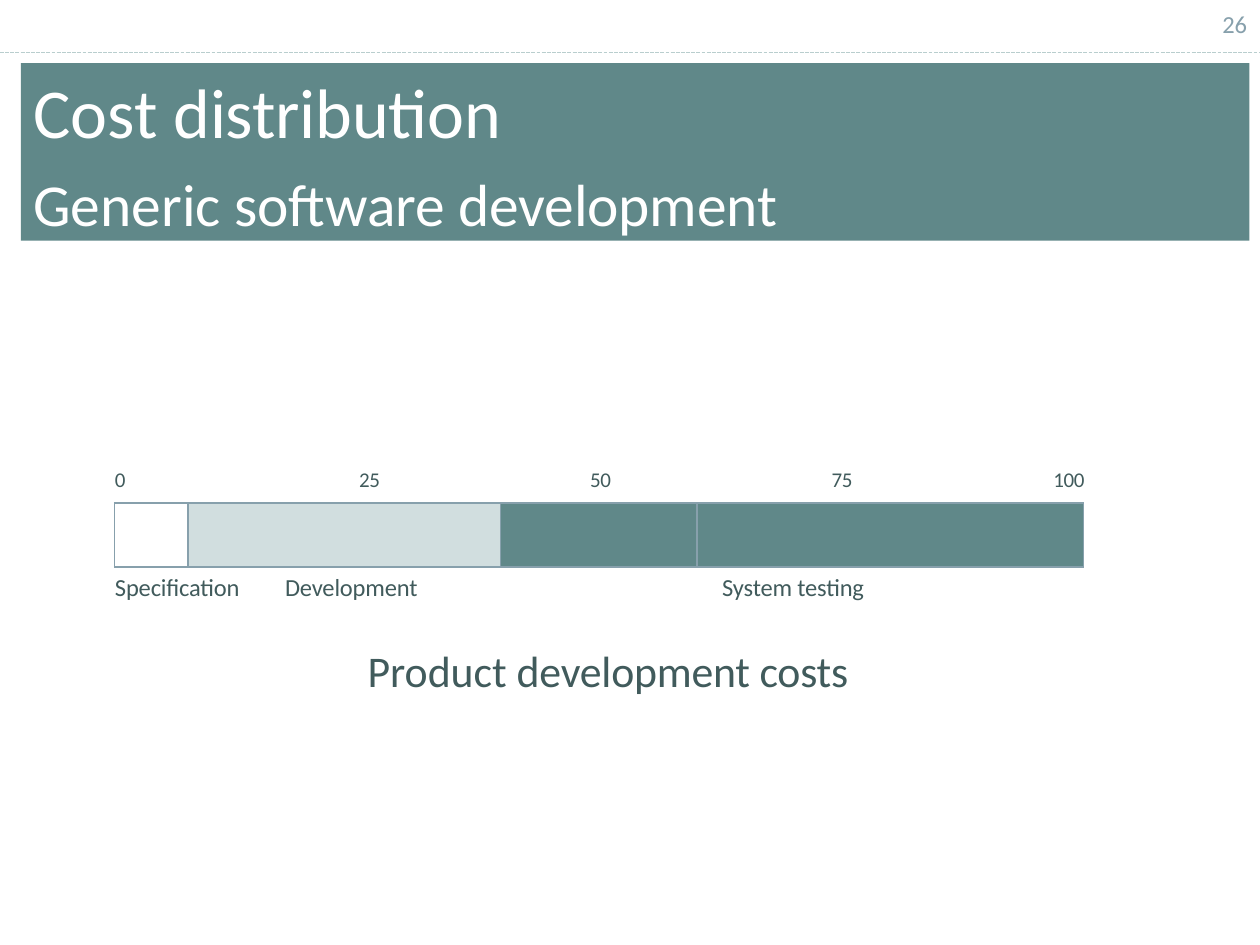
"""Build the cost distribution slide for generic software development."""
from dataclasses import dataclass

from lxml import etree
from pptx import Presentation
from pptx.dml.color import RGBColor
from pptx.enum import dml, shapes, text
from pptx.oxml import ns
from pptx.util import Pt

WHITE = RGBColor(0xFF, 0xFF, 0xFF)
TEAL = RGBColor(0x60, 0x88, 0x89)
PALE = RGBColor(0xD1, 0xDE, 0xDF)
DARK = RGBColor(0x41, 0x5B, 0x5C)
GREY = RGBColor(0x87, 0xA0, 0xAC)
RULE = RGBColor(0xB9, 0xCE, 0xCE)
FONT = "Calibri"


@dataclass
class Run:
    text: str
    spacing: float = -0.1


@dataclass
class Para:
    runs: list[Run]
    size: float
    color: RGBColor = DARK
    before: float = 1
    indent: float = 0.9
    align: text.PP_ALIGN = text.PP_ALIGN.LEFT
    tab: float | None = None


@dataclass
class Label:
    left: float
    top: float
    width: float
    height: float
    paras: list[Para]


@dataclass
class Segment:
    width: float
    color: RGBColor | None = None


def write(tf, paras: list[Para], top: float = 0.9) -> None:
    """Fill a text frame with paragraphs, run by run."""
    tf.word_wrap = True
    tf.vertical_anchor = text.MSO_ANCHOR.TOP
    tf.margin_left = tf.margin_right = tf.margin_bottom = 0
    tf.margin_top = Pt(top)
    for i, para in enumerate(paras):
        p = tf.add_paragraph() if i else tf.paragraphs[0]
        p.alignment = para.align
        p.space_before = Pt(para.before)
        pPr = p._p.get_or_add_pPr()
        pPr.set("marL", str(Pt(para.indent)))
        if para.tab is not None:
            tabs = etree.SubElement(pPr, ns.qn("a:tabLst"))
            etree.SubElement(tabs, ns.qn("a:tab"), pos=str(Pt(para.tab)), algn="l")
        for run in para.runs:
            r = p.add_run()
            r.text = run.text
            r.font.name = FONT
            r.font.size = Pt(para.size)
            r.font.color.rgb = para.color
            r._r.get_or_add_rPr().set("spc", str(round(run.spacing * 100)))


def add_label(s, label: Label) -> None:
    """Add a text box."""
    sp = s.shapes.add_textbox(Pt(label.left), Pt(label.top), Pt(label.width), Pt(label.height))
    write(sp.text_frame, label.paras)


def add_rule(s, y: float, width: float) -> None:
    """Add the dashed line across the top of the slide."""
    sp = s.shapes.add_connector(shapes.MSO_CONNECTOR.STRAIGHT, 0, Pt(y), Pt(width), Pt(y))
    sp.line.color.rgb = RULE
    sp.line.width = Pt(0.75)
    sp.line.dash_style = dml.MSO_LINE.SQUARE_DOT
    etree.SubElement(sp._element.spPr, ns.qn("a:effectLst"))


def add_banner(s, paras: list[Para]) -> None:
    """Add the filled title banner."""
    sp = s.shapes.add_shape(shapes.MSO_SHAPE.RECTANGLE, Pt(12), Pt(36), Pt(702), Pt(101.5))
    sp.shadow.inherit = False
    sp.fill.solid()
    sp.fill.fore_color.rgb = TEAL
    sp.line.fill.background()
    write(sp.text_frame, paras, top=2.9)


def add_border(cell) -> None:
    """Draw all four borders of a table cell."""
    tcPr = cell._tc.get_or_add_tcPr()
    for i, side in enumerate(("lnL", "lnR", "lnT", "lnB")):
        ln = etree.Element(ns.qn(f"a:{side}"), w=str(Pt(1)))
        fill = etree.SubElement(ln, ns.qn("a:solidFill"))
        etree.SubElement(fill, ns.qn("a:srgbClr"), val=str(GREY))
        tcPr.insert(i, ln)


def add_bar(s, segments: list[Segment]) -> None:
    """Add the cost bar as a one-row table."""
    width = sum(seg.width for seg in segments)
    frame = s.shapes.add_table(1, len(segments), Pt(65.5), Pt(287.3), Pt(width), Pt(36.7))
    table = frame.table
    table.first_row = table.horz_banding = False
    for i, seg in enumerate(segments):
        table.columns[i].width = Pt(seg.width)
        cell = table.cell(0, i)
        if seg.color is None:
            cell.fill.background()
        else:
            cell.fill.solid()
            cell.fill.fore_color.rgb = seg.color
        add_border(cell)


def main() -> None:
    """Create and save the slide."""
    prs = Presentation()
    prs.slide_width, prs.slide_height = Pt(720), Pt(540)
    s = prs.slides.add_slide(prs.slide_layouts[6])

    add_rule(s, 30, 720)
    add_label(s, Label(697.7, 4.3, 16.6, 18, [Para([Run("26", -0.2)], 14, GREY)]))
    add_banner(s, [
        Para([Run("Cost ", 0), Run("distribution")], 40, WHITE, before=3, indent=7.2),
        Para([Run("Generic software ", 0), Run("development")], 34, WHITE, before=8.6, indent=7.2),
    ])
    add_label(s, Label(162, 326.2, 333.4, 72.7, [
        Para([Run("Development\tSystem testing")], 14, tab=249.8),
        Para([Run("Product ", 0), Run("development costs")], 25, before=24.2, indent=37.4,
             align=text.PP_ALIGN.CENTER),
    ]))
    add_bar(s, [Segment(41.8), Segment(178.6, PALE), Segment(112.3, TEAL), Segment(221, TEAL)])

    ticks = [("0", 64.8, 8), ("25", 204.3, 14.5), ("50", 336.3, 14.5),
             ("75", 474.3, 14.5), ("100", 601, 20.5)]
    for value, left, width in ticks:
        add_label(s, Label(left, 265.7, width, 15.8, [Para([Run(value, -0.2)], 12)]))
    add_label(s, Label(64.8, 326.2, 75, 18, [Para([Run("Specification")], 14)]))

    prs.save("out.pptx")


if __name__ == "__main__":
    main()
